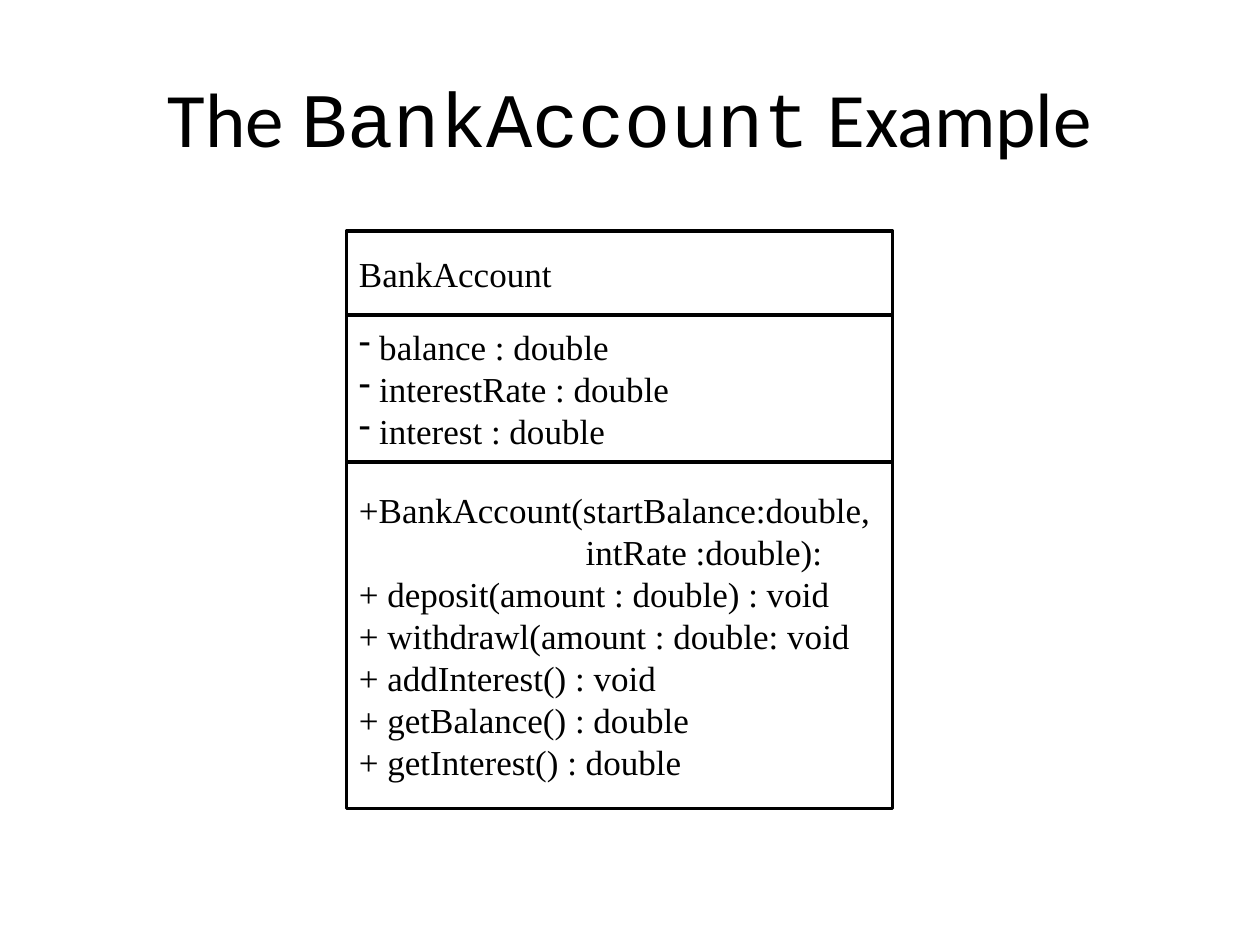
from pptx import Presentation
from pptx.dml.color import RGBColor
from pptx.enum.shapes import MSO_SHAPE
from pptx.enum.text import MSO_ANCHOR, PP_ALIGN
from pptx.oxml.ns import qn
from pptx.util import Inches, Pt

BLACK = RGBColor(0, 0, 0)
WHITE = RGBColor(255, 255, 255)
RECT = MSO_SHAPE.RECTANGLE
MIDDLE = MSO_ANCHOR.MIDDLE
LEFT, CENTER = PP_ALIGN.LEFT, PP_ALIGN.CENTER
SANS, MONO, SERIF = "Calibri", "Courier New", "Times New Roman"
CELL = Inches(1) // 12


class Deck:
    """Draws on one slide with a grid of 120 columns and 90 rows."""

    def __init__(self):
        self.show = Presentation()
        self.show.slide_width = 120 * CELL
        self.show.slide_height = 90 * CELL
        self.page = self.show.slides.add_slide(self.show.slide_layouts[6])
        self.group = None

    def place(self, *cells):
        return [round(n * CELL) for n in cells]

    def add_text(self, para, text, font, size):
        run = para.add_run()
        run.text = text
        run.font.name = font
        run.font.size = Pt(size)
        run.font.color.rgb = BLACK

    def title(self, runs, *cells):
        frame = self.page.shapes.add_textbox(*self.place(*cells)).text_frame
        frame.word_wrap = True
        frame.vertical_anchor = MIDDLE
        para = frame.paragraphs[0]
        para.alignment = CENTER
        for text, font in runs:
            self.add_text(para, text, font, 44)

    def box(self, lines, *cells, mark=None, inset=None):
        if self.group is None:
            self.group = self.page.shapes.add_group_shape()
        shape = self.group.shapes.add_shape(RECT, *self.place(*cells))
        shape.shadow.inherit = False
        shape.fill.solid()
        shape.fill.fore_color.rgb = WHITE
        shape.line.color.rgb = BLACK
        shape.line.width = Pt(2)
        frame = shape.text_frame
        frame.word_wrap = False
        frame.vertical_anchor = MIDDLE
        for row, text in enumerate(lines):
            para = frame.add_paragraph() if row else frame.paragraphs[0]
            para.alignment = LEFT
            props = para._p.get_or_add_pPr()
            if mark:
                bullet = props.makeelement(qn("a:buChar"), {"char": mark})
                props.append(bullet)
            if row == inset:
                props.set("marL", str(Inches(1.8)))
            self.add_text(para, text, SERIF, 20)


def main():
    deck = Deck()
    deck.title([("The ", SANS), ("BankAccount", MONO), (" Example", SANS)],
               6, 3.6, 108, 15)
    fields = [" balance : double", " interestRate : double",
              " interest : double"]
    methods = ["+BankAccount(startBalance:double,", "intRate :double):",
               "+ deposit(amount : double) : void",
               "+ withdrawl(amount : double: void",
               "+ addInterest() : void", "+ getBalance() : double",
               "+ getInterest() : double"]
    top = 22
    for lines, rows, style in ((["BankAccount"], 8, {}),
                               (fields, 14, {"mark": "-"}),
                               (methods, 33, {"inset": 1})):
        deck.box(lines, 33, top, 52, rows, **style)
        top += rows
    deck.show.save("out.pptx")


if __name__ == "__main__":
    main()
